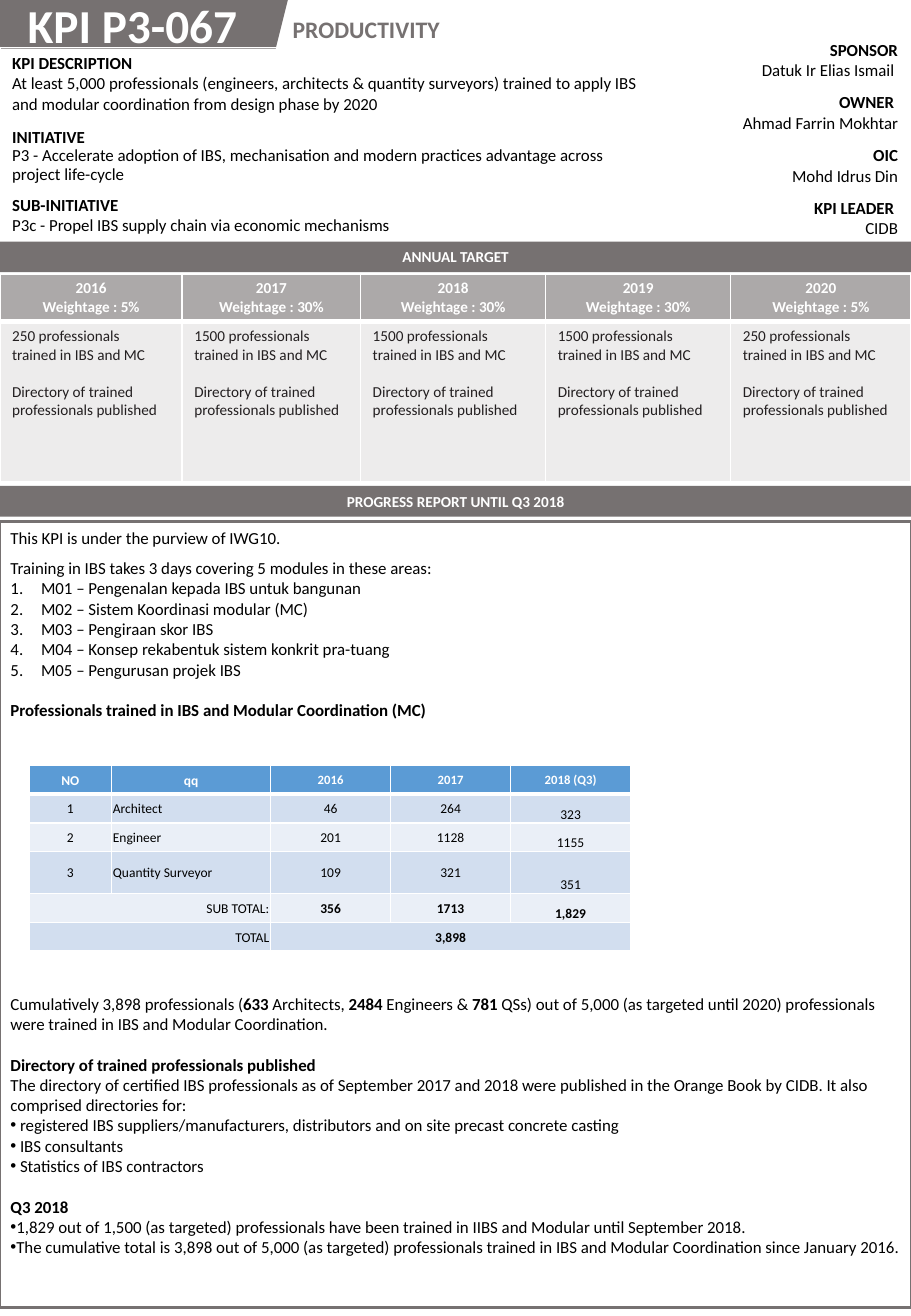
from lxml import etree
from pptx import Presentation
from pptx.dml.color import RGBColor
from pptx.enum.shapes import MSO_SHAPE
from pptx.enum.text import MSO_ANCHOR, PP_ALIGN
from pptx.oxml.ns import qn
from pptx.util import Cm, Pt

GREY, WHITE, BLACK, INK = "767171", "FFFFFF", "000000", "231F20"
HEADER_BLUE, BANDS = "5B9BD5", ("D2DEEF", "EAEFF7")
WIDTH, HEIGHT = 19.05, 27.51
LEFT, CENTER, RIGHT = PP_ALIGN.LEFT, PP_ALIGN.CENTER, PP_ALIGN.RIGHT


def rgb(value):
    return RGBColor.from_string(value)


def add_bullet(p, bullet, indent):
    pPr = p._p.get_or_add_pPr()
    pPr.set("marL", str(Cm(indent)))
    pPr.set("indent", str(-Cm(indent)))
    if bullet == "1.":
        etree.SubElement(pPr, qn("a:buAutoNum"), type="arabicPeriod")
    else:
        etree.SubElement(pPr, qn("a:buFont"), typeface="Arial")
        etree.SubElement(pPr, qn("a:buChar"), char=bullet)


def write(tf, text, size=10, color=BLACK, bold=False, align=LEFT,
          before=0, spacing=None, bullet=None, indent=0):
    p = tf.paragraphs[0] if not tf.paragraphs[0].runs else tf.add_paragraph()
    if bullet:
        add_bullet(p, bullet, indent)
    p.alignment = align
    if before:
        p.space_before = Pt(before)
    if spacing:
        p.line_spacing = spacing
    for i, part in enumerate(text.split("**")):
        for j, line in enumerate(part.split("\n")):
            if j:
                p.add_line_break()
            if line:
                r = p.add_run()
                r.text = line
                r.font.name, r.font.size = "Calibri", Pt(size)
                r.font.bold = bold != bool(i % 2)
                r.font.color.rgb = rgb(color)


def add_block(s, kind, box, fill=None, line=None):
    sp = s.shapes.add_shape(kind, *map(Cm, box))
    sp.shadow.inherit = False
    if fill:
        sp.fill.solid()
        sp.fill.fore_color.rgb = rgb(fill)
    else:
        sp.fill.background()
    if line:
        sp.line.color.rgb = rgb(line)
        sp.line.width = Pt(1.5)
    else:
        sp.line.fill.background()
    return sp


def add_label(s, box, wrap=True):
    tf = s.shapes.add_textbox(*map(Cm, box)).text_frame
    tf.word_wrap = wrap
    return tf


def add_grid(s, left, top, widths, heights):
    frame = s.shapes.add_table(len(heights), len(widths), Cm(left), Cm(top),
                               Cm(sum(widths)), Cm(sum(heights)))
    table = frame.table
    table.first_row = table.horz_banding = False
    for column, width in zip(table.columns, widths):
        column.width = Cm(width)
    for row, height in zip(table.rows, heights):
        row.height = Cm(height)
    return table


def paint(cell, fill, alpha=100, bottom=1):
    cell.fill.solid()
    cell.fill.fore_color.rgb = rgb(fill)
    tcPr = cell._tc.get_or_add_tcPr()
    color = tcPr.find(".//" + qn("a:srgbClr"))
    if alpha < 100:
        etree.SubElement(color, qn("a:alpha"), val=str(alpha * 1000))
    for i, side in enumerate("LRTB"):
        ln = etree.Element(qn("a:ln" + side), w=str(Pt(bottom if side == "B" else 1)))
        solid = etree.SubElement(ln, qn("a:solidFill"))
        etree.SubElement(solid, qn("a:srgbClr"), val=WHITE)
        tcPr.insert(i, ln)


def add_title(s, left, top):
    add_block(s, MSO_SHAPE.PARALLELOGRAM, (left - 0.43, top, 6.45, 1.02), GREY)
    tf = add_label(s, (left + 0.33, top - 0.2, 5.69, 1.45))
    write(tf, "KPI P3-067", size=28, color=WHITE, bold=True)
    tf = add_label(s, (left + 5.87, top + 0.18, 3.68, 0.86), wrap=False)
    write(tf, "PRODUCTIVITY", size=14, color=GREY, bold=True)


def add_facts(s, left, top, width, heights, facts, align=LEFT):
    table = add_grid(s, left, top, [width], heights)
    for i, (heading, detail, spacing) in enumerate(facts):
        cell = table.cell(i, 0)
        cell.fill.background()
        write(cell.text_frame, heading, bold=True, align=align)
        write(cell.text_frame, detail, align=align, spacing=spacing)


def add_bar(s, top, text):
    sp = add_block(s, MSO_SHAPE.RECTANGLE, (0, top, WIDTH, 0.64), GREY)
    sp.text_frame.vertical_anchor = MSO_ANCHOR.MIDDLE
    write(sp.text_frame, text, size=9, color=WHITE, bold=True, align=CENTER)


def add_targets(s, left, top):
    targets = [(2016, 5, 250), (2017, 30, 1500), (2018, 30, 1500),
               (2019, 30, 1500), (2020, 5, 250)]
    table = add_grid(s, left, top, [3.81, 3.73, 3.87, 3.87, 3.77], [0.98, 3.36])
    for i, (year, weight, count) in enumerate(targets):
        head, goal = table.cell(0, i), table.cell(1, i)
        head.margin_top = head.margin_bottom = Cm(0.1)
        paint(head, GREY, 60, bottom=3)
        paint(goal, GREY, 13)
        for text in (str(year), f"Weightage : {weight}%"):
            write(head.text_frame, text, size=9, color=WHITE, bold=True, align=CENTER)
        write(goal.text_frame, f"{count} professionals\ntrained in IBS and MC", size=9, color=INK)
        write(goal.text_frame, "Directory of trained professionals published",
              size=9, color=INK, before=11)


def add_report(s, left, top, width, height):
    add_block(s, MSO_SHAPE.RECTANGLE, (left, top, width, height), line=GREY)
    tf = add_label(s, (left - 0.03, top, width + 0.03, height))
    write(tf, "This KPI is under the purview of IWG10.")
    write(tf, "Training in IBS takes 3 days covering 5 modules in these areas:", before=6)
    for module in ("M01 – Pengenalan kepada IBS untuk bangunan",
                   "M02 – Sistem Koordinasi modular (MC)",
                   "M03 – Pengiraan skor IBS",
                   "M04 – Konsep rekabentuk sistem konkrit pra-tuang",
                   "M05 – Pengurusan projek IBS"):
        write(tf, module, bullet="1.", indent=0.64)
    write(tf, "Professionals trained in IBS and Modular Coordination (MC)", bold=True, before=12)
    write(tf, "Cumulatively 3,898 professionals (**633** Architects, **2484** Engineers & "
              "**781** QSs) out of 5,000 (as targeted until 2020) professionals were trained "
              "in IBS and Modular Coordination.", before=162)
    write(tf, "Directory of trained professionals published", bold=True, before=12)
    write(tf, "The directory of certified IBS professionals as of September 2017 and 2018 were "
              "published in the Orange Book by CIDB. It also comprised directories for:")
    for listing in ("registered IBS suppliers/manufacturers, distributors and on site "
                    "precast concrete casting",
                    "IBS consultants", "Statistics of IBS contractors"):
        write(tf, listing, bullet="•", indent=0.2)
    write(tf, "Q3 2018", bold=True, before=12)
    for result in ("1,829 out of 1,500 (as targeted) professionals have been trained in IIBS "
                   "and Modular until September 2018.",
                   "The cumulative total is 3,898 out of 5,000 (as targeted) professionals "
                   "trained in IBS and Modular Coordination since January 2016."):
        write(tf, result, bullet="•")


def add_trained(s, left, top):
    rows = [("NO", "qq", "2016", "2017", "2018 (Q3)"),
            ("1", "Architect", "46", "264", "323"),
            ("2", "Engineer", "201", "1128", "1155"),
            ("3", "Quantity Surveyor", "109", "321", "351"),
            ("SUB TOTAL:", "", "356", "1713", "1,829"),
            ("TOTAL", "", "3,898", "", "")]
    table = add_grid(s, left, top, [1.72, 3.33] + [2.51] * 3, [0.6] * 3 + [0.88] + [0.6] * 2)
    for i, row in enumerate(rows):
        for j, text in enumerate(row):
            cell = table.cell(i, j)
            head, total = i == 0, i > 3
            cell.margin_left = cell.margin_right = cell.margin_top = Cm(0.03)
            cell.margin_bottom = 0
            low = j == 4 and not head
            cell.vertical_anchor = MSO_ANCHOR.BOTTOM if low else MSO_ANCHOR.MIDDLE
            paint(cell, HEADER_BLUE if head else BANDS[(i - 1) % 2], bottom=3 if head else 1)
            align = RIGHT if total and j == 0 else LEFT if j == 1 and not head else CENTER
            if text:
                write(cell.text_frame, text, size=7.5 if head and j > 1 else 8,
                      color=WHITE if head else BLACK, bold=head or (total and j > 1), align=align)
    for i, first, last in ((4, 0, 1), (5, 0, 1), (5, 2, 4)):
        table.cell(i, first).merge(table.cell(i, last))


def main():
    prs = Presentation()
    prs.slide_width, prs.slide_height = Cm(WIDTH), Cm(HEIGHT)
    s = prs.slides.add_slide(prs.slide_layouts[6])
    people = [("SPONSOR", "Datuk Ir Elias Ismail ", None),
              ("OWNER ", "Ahmad Farrin Mokhtar", None),
              ("OIC", "Mohd Idrus Din", None),
              ("KPI LEADER ", "CIDB", None)]
    scope = [("KPI DESCRIPTION", "At least 5,000 professionals (engineers, architects & quantity "
              "surveyors) trained to apply IBS and modular coordination from design phase by 2020", None),
             ("INITIATIVE", "P3 - Accelerate adoption of IBS, mechanisation and modern practices "
              "advantage across project life-cycle", 0.88),
             ("SUB-INITIATIVE", "P3c - Propel IBS supply chain via economic mechanisms", None)]
    add_report(s, 0, 10.9, WIDTH, 16.43)
    add_title(s, 0, 0)
    add_facts(s, 11.99, 0.71, 7.04, [1.1] * 4, people, RIGHT)
    add_facts(s, 0, 0.99, 13.79, [1.54, 1.42, 1.08], scope)
    add_bar(s, 5.05, "ANNUAL TARGET")
    add_targets(s, 0, 5.74)
    add_bar(s, 10.16, "PROGRESS REPORT UNTIL Q3 2018")
    add_trained(s, 0.61, 16)
    prs.save("out.pptx")


if __name__ == "__main__":
    main()
